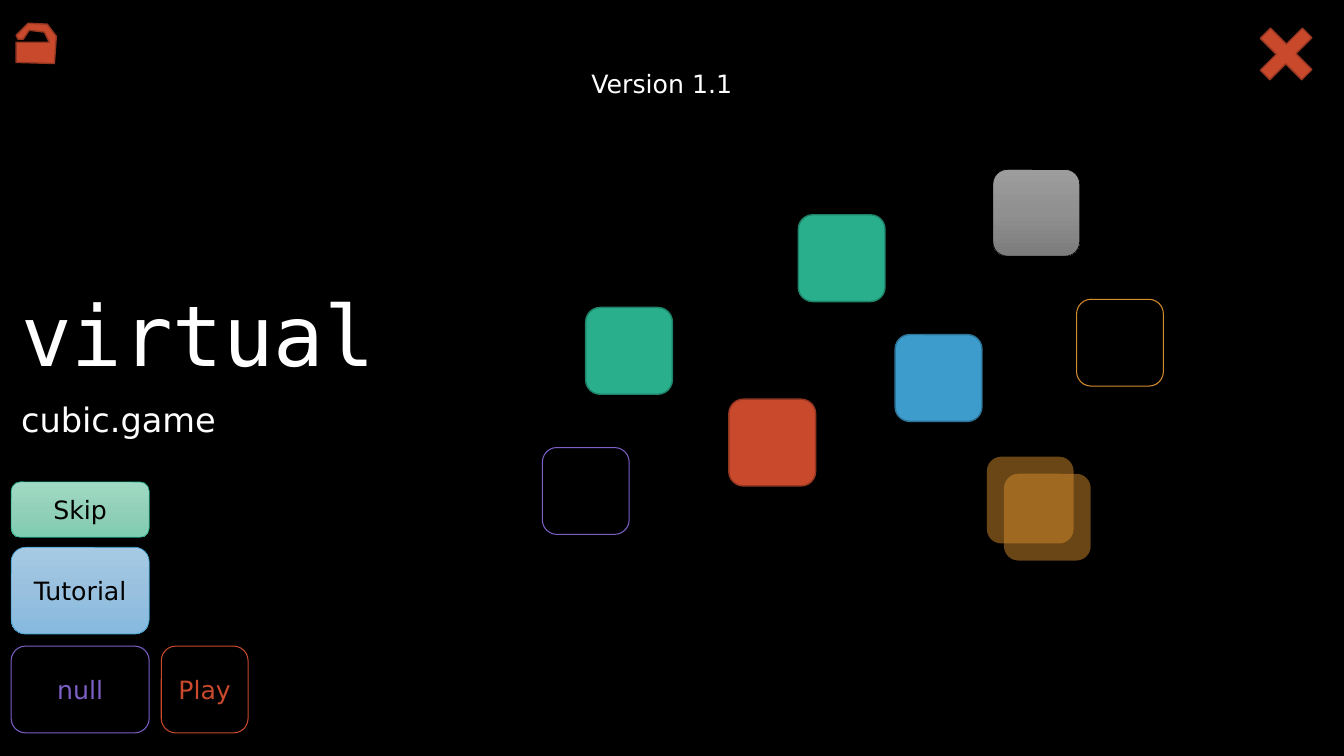
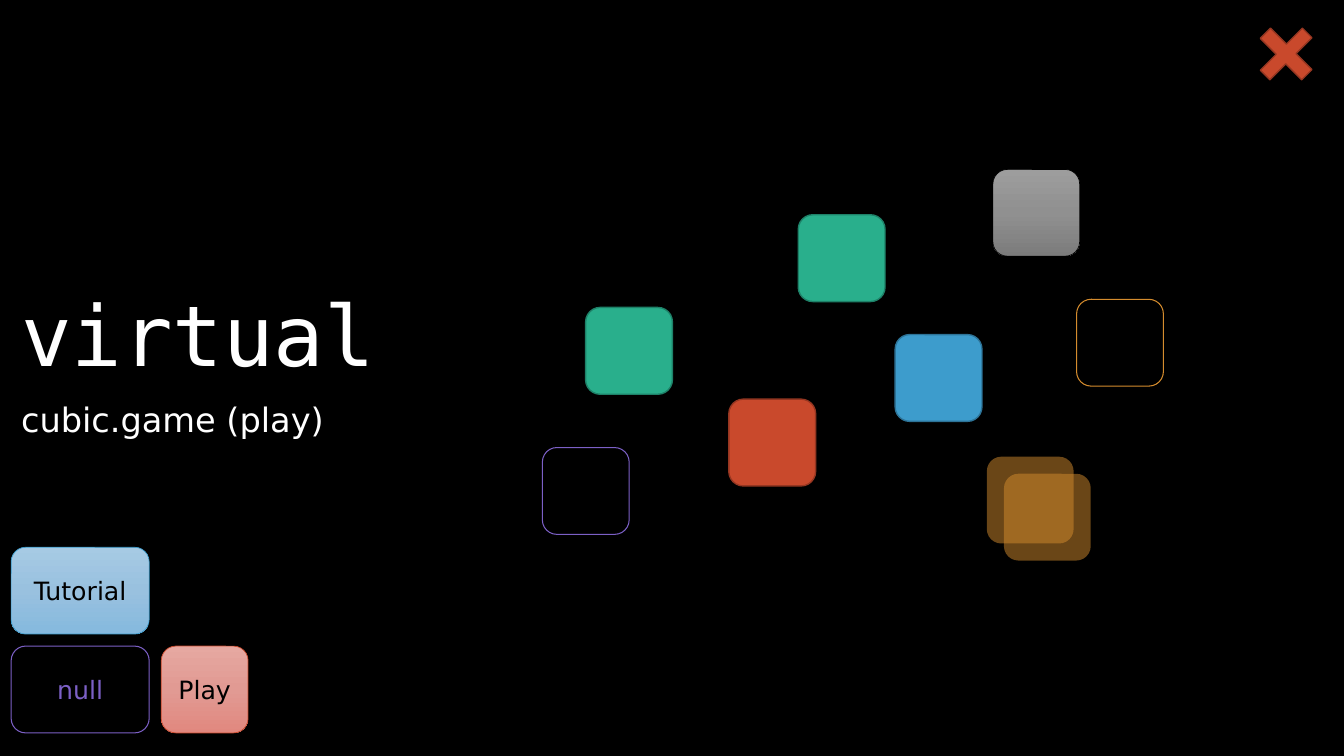
from copy import deepcopy
from dataclasses import dataclass

from pptx import Presentation
from pptx.dml.color import RGBColor
from pptx.enum.shapes import MSO_SHAPE as Preset
from pptx.enum.text import MSO_ANCHOR as Anchor
from pptx.enum.text import MSO_AUTO_SIZE as AutoSize
from pptx.enum.text import PP_ALIGN as Align
from pptx.oxml.ns import qn
from pptx.oxml.xmlchemy import OxmlElement
from pptx.util import Pt


@dataclass(frozen=True)
class Theme:
    black: str = "000000"
    white: str = "FFFFFF"
    green: str = "29AF8C"
    green_edge: str = "1E8168"
    blue: str = "3D9CCC"
    blue_edge: str = "2D7397"
    red: str = "C9492C"
    red_edge: str = "953621"
    amber: str = "D58C2E"
    violet: str = "7C60C6"
    gray_fade: tuple = ("9D9D9D", "909090", "7C7C7C")
    green_fade: tuple = ("A0DAC4", "93D0B9", "7ECDB1")
    blue_fade: tuple = ("A6CAE4", "99C1DF", "85B9DE")
    red_fade: tuple = ("E6A8A1", "E19A93", "E1887F")
    sans: str = "DejaVu Sans"
    mono: str = "DejaVu Sans Mono"
    title_size: int = 60
    subtitle_size: int = 24
    label_size: int = 18


THEME = Theme()
MARGIN = 8
CUBE = 62
BUTTON_WIDTH = 98.6
BUTTON_GAP = 8.6
BOTTOM_ROW = 461.5
MIDDLE_ROW = BOTTOM_ROW - CUBE - BUTTON_GAP
SKIP_TOP, SKIP_HEIGHT = 344.2, 39.6
PLAY_LEFT = MARGIN + BUTTON_WIDTH + BUTTON_GAP

# left, top, fill, edge, edge width, opacity in percent
CUBES = [
    (709.2, 121, THEME.gray_fade, THEME.black, 0.5, 100),
    (418.3, 219.6, THEME.green, THEME.green_edge, 1, 100),
    (639.4, 239, THEME.blue, THEME.blue_edge, 1, 100),
    (570.2, 153.4, THEME.green, THEME.green_edge, 1, 100),
    (520.6, 285.1, THEME.red, THEME.red_edge, 1, 100),
    (769, 213.8, None, THEME.amber, 0.75, 100),
    (704.9, 326.2, THEME.amber, None, 0, 50),
    (717.1, 338.4, THEME.amber, None, 0, 50),
    (387.4, 319.7, None, THEME.violet, 0.75, 100),
]

PADLOCK = [
    (11.5, 25.2), (20.2, 16.6), (33.8, 17.3), (40.3, 25.9),
    (38.9, 45.4), (11.5, 44.6), (11.5, 30.2), (35.3, 30.2),
    (31.7, 23), (20.9, 21.6), (16.6, 28.1), (13, 28.1),
]


def rgb(color):
    return RGBColor.from_string(color)


def write(box, text, *, size=THEME.label_size, font=THEME.sans,
          color=THEME.white, align=Align.LEFT, anchor=Anchor.TOP,
          spacing=1.0, wrap=True):
    frame = box.text_frame
    frame.word_wrap = wrap
    frame.vertical_anchor = anchor
    para = frame.paragraphs[0]
    para.alignment = align
    para.line_spacing = spacing
    span = para.add_run()
    span.text = text
    span.font.size = Pt(size)
    span.font.name = font
    span.font.color.rgb = rgb(color)


def fade(shape, colors):
    """Fill from top to bottom with three evenly spaced colours."""
    shape.fill.gradient()
    shape.fill.gradient_angle = 270
    stops = shape._element.spPr.find(".//" + qn("a:gsLst"))
    stops.insert(1, deepcopy(stops[0]))
    for index, (stop, color) in enumerate(zip(shape.fill.gradient_stops, colors)):
        stop.position = index / 2
        stop.color.rgb = rgb(color)


def paint(shape, fill=None, edge=None, width=1, opacity=100):
    shape.shadow.inherit = False
    if fill is None:
        shape.fill.background()
    elif isinstance(fill, tuple):
        fade(shape, fill)
    else:
        shape.fill.solid()
        shape.fill.fore_color.rgb = rgb(fill)
        if opacity < 100:
            alpha = OxmlElement("a:alpha")
            alpha.set("val", str(opacity * 1000))
            shape._element.spPr.find(".//" + qn("a:srgbClr")).append(alpha)
    if edge is None:
        shape.line.fill.background()
    else:
        shape.line.color.rgb = rgb(edge)
        shape.line.width = Pt(width)


class GameDeck:
    def __init__(self):
        self.deck = Presentation()
        self.deck.slide_width, self.deck.slide_height = Pt(960), Pt(540)
        self.page = None

    def start_page(self, subtitle):
        """Add a page with everything that all pages share."""
        self.page = self.deck.slides.add_slide(self.deck.slide_layouts[6])
        background = self.page.background.fill
        background.solid()
        background.fore_color.rgb = rgb(THEME.black)
        self.text(MARGIN, 90, 720, 188, "virtual", size=THEME.title_size,
                  font=THEME.mono, anchor=Anchor.BOTTOM, spacing=0.9)
        self.text(MARGIN, 285, 720, 50, subtitle,
                  size=THEME.subtitle_size, spacing=0.9)
        for left, top, *style in CUBES:
            self.tile(left, top, CUBE, CUBE, *style)
        self.close_cross()
        self.button(MARGIN, MIDDLE_ROW, "Tutorial", THEME.blue, THEME.blue_fade)
        self.button(MARGIN, BOTTOM_ROW, "null", THEME.violet)

    def text(self, left, top, width, height, text, **style):
        box = self.page.shapes.add_textbox(
            Pt(left), Pt(top), Pt(width), Pt(height))
        write(box, text, **style)
        return box

    def preset(self, kind, left, top, width, height):
        return self.page.shapes.add_shape(
            kind, Pt(left), Pt(top), Pt(width), Pt(height))

    def tile(self, left, top, width, height, *style):
        shape = self.preset(Preset.ROUNDED_RECTANGLE, left, top, width, height)
        paint(shape, *style)
        return shape

    def button(self, left, top, label, accent, colors=None,
               width=BUTTON_WIDTH, height=CUBE):
        """Outlined with a coloured label, or filled with a black one."""
        shape = self.tile(left, top, width, height, colors, accent,
                          0.5 if colors else 0.75)
        write(shape, label, color=THEME.black if colors else accent,
              align=Align.CENTER, anchor=Anchor.MIDDLE)

    def close_cross(self):
        cross = self.preset(Preset.CROSS, 897.8, 17.3, 41.8, 42.5)
        cross.adjustments[0] = 0.384
        cross.rotation = 45
        paint(cross, THEME.red, THEME.red_edge)

    def padlock(self):
        first, *rest = [(Pt(x), Pt(y)) for x, y in PADLOCK]
        outline = self.page.shapes.build_freeform(*first)
        outline.add_line_segments(rest, close=True)
        paint(outline.convert_to_shape(), THEME.red, THEME.red_edge)

    def save(self):
        self.deck.save("out.pptx")


def main():
    game = GameDeck()

    game.start_page("cubic.game")
    game.button(PLAY_LEFT, BOTTOM_ROW, "Play", THEME.red, width=CUBE)
    game.button(MARGIN, SKIP_TOP, "Skip", THEME.green, THEME.green_fade,
                height=SKIP_HEIGHT)
    game.padlock()
    version = game.text(415.4, 45.4, 118, 29, "Version 1.1", wrap=False)
    version.text_frame.auto_size = AutoSize.SHAPE_TO_FIT_TEXT

    game.start_page("cubic.game (play)")
    game.button(PLAY_LEFT, BOTTOM_ROW, "Play", THEME.red, THEME.red_fade,
                width=CUBE)

    game.save()


if __name__ == "__main__":
    main()
